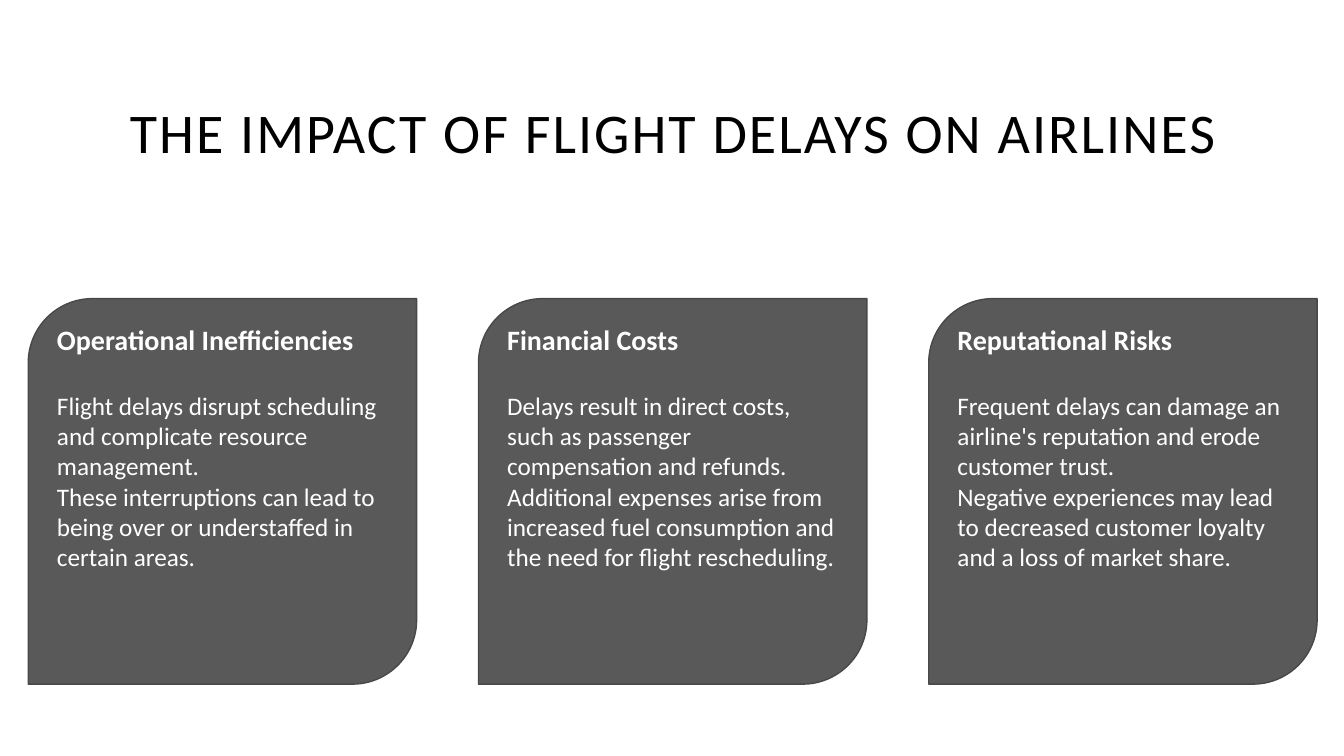
import pptx
import pptx.util
import pptx.dml.color
import pptx.enum.shapes
import pptx.enum.text

Pt = pptx.util.Pt
RGB = pptx.dml.color.RGBColor
Align = pptx.enum.text.PP_ALIGN
Anchor = pptx.enum.text.MSO_ANCHOR

WHITE = RGB(0xFF, 0xFF, 0xFF)
BLACK = RGB(0, 0, 0)
GREY = RGB(0x59, 0x59, 0x59)
EDGE = RGB(0x48, 0x48, 0x48)

WIDE = pptx.util.Inches(13.33)
HIGH = pptx.util.Inches(7.5)
LEFT, STEP = 2.1, 33.5

HEAD = {"size": Pt(20), "bold": True, "name": "Calibri"}
BODY = {"size": Pt(18), "bold": False, "name": "Calibri"}
TITLE = {"size": Pt(40), "bold": False, "name": "Calibri"}

CARDS = [
    ("Operational Inefficiencies",
     "Flight delays disrupt scheduling and complicate resource management.",
     "These interruptions can lead to being over or understaffed in certain areas."),
    ("Financial Costs",
     "Delays result in direct costs, such as passenger compensation and refunds.",
     "Additional expenses arise from increased fuel consumption and the need for flight rescheduling."),
    ("Reputational Risks",
     "Frequent delays can damage an airline's reputation and erode customer trust.",
     "Negative experiences may lead to decreased customer loyalty and a loss of market share."),
]


def area(x, y, w, h):
    """Turn percentages of the slide into a left, top, width and height."""
    return [int(side * part / 100)
            for side, part in zip((WIDE, HIGH, WIDE, HIGH), (x, y, w, h))]


def style(font, look, color):
    """Apply a dict of format values and a colour to a font."""
    for key, value in look.items():
        setattr(font, key, value)
    font.color.rgb = color


def add_title(slide, text):
    """Place and format the title placeholder."""
    title = slide.shapes.title
    title.left, title.top, title.width, title.height = area(2.25, 13.2, 95.72, 12.53)
    frame = title.text_frame
    frame.text = text
    frame.word_wrap = True
    frame.vertical_anchor = Anchor.TOP
    para = frame.paragraphs[0]
    para.alignment = Align.CENTER
    para.line_spacing = 0.9
    run = para.runs[0]
    style(run.font, TITLE, BLACK)
    run.font._element.set("spc", "150")


def add_card(slide, col, lines):
    """Draw one card with a heading and its body lines in the given column."""
    kind = pptx.enum.shapes.MSO_SHAPE.ROUND_2_DIAG_RECTANGLE
    card = slide.shapes.add_shape(kind, *area(LEFT + col * STEP, 39.5, 28.9, 51))
    card.shadow.inherit = False
    card.fill.solid()
    card.fill.fore_color.rgb = GREY
    card.line.color.rgb = EDGE
    card.line.width = Pt(1)
    frame = card.text_frame
    frame.word_wrap = True
    frame.vertical_anchor = Anchor.TOP
    frame.text = "\n".join(lines)
    for row, para in enumerate(frame.paragraphs):
        para.alignment = Align.LEFT
        style(para.runs[0].font, BODY if row else HEAD, WHITE)
    frame.paragraphs[0].space_after = Pt(24.4)


def main():
    """Build the slide and save it."""
    deck = pptx.Presentation()
    deck.slide_width, deck.slide_height = WIDE, HIGH
    slide = deck.slides.add_slide(deck.slide_layouts[5])
    add_title(slide, "THE IMPACT OF FLIGHT DELAYS ON AIRLINES")
    for col, lines in enumerate(CARDS):
        add_card(slide, col, lines)
    deck.save("out.pptx")


if __name__ == "__main__":
    main()
